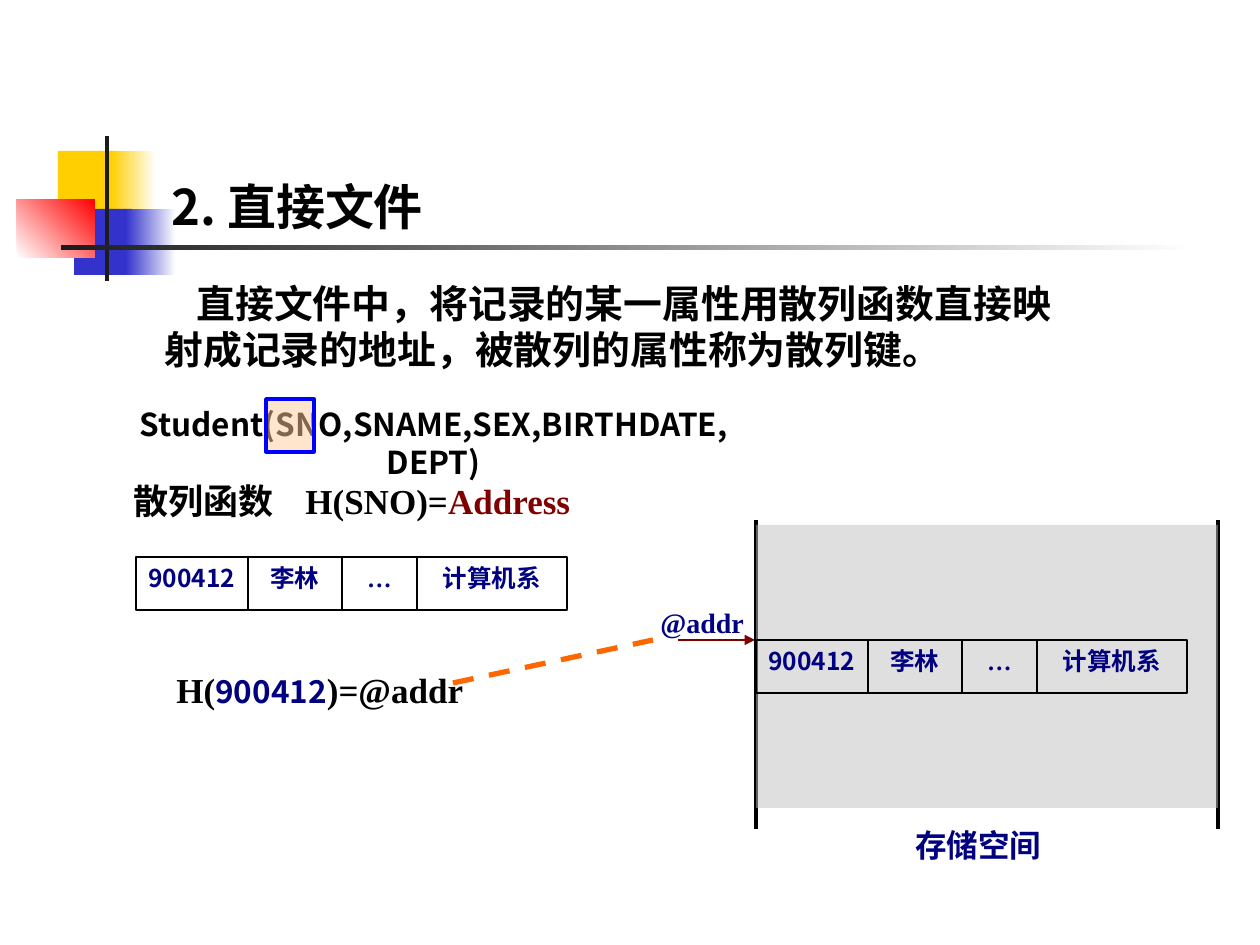
import pptx
import pptx.dml.color
import pptx.enum.dml
import pptx.enum.shapes
import pptx.enum.text
import pptx.oxml.ns
import pptx.util
from lxml import etree

RGB = pptx.dml.color.RGBColor
ALIGN = pptx.enum.text.PP_ALIGN
ANCHOR = pptx.enum.text.MSO_ANCHOR
qn = pptx.oxml.ns.qn

BLACK = RGB(0, 0, 0)
WHITE = RGB(255, 255, 255)
NAVY = RGB(0, 0, 128)
MAROON = RGB(128, 0, 0)
BLUE = RGB(0, 0, 255)
ORANGE = RGB(255, 102, 0)
PEACH = RGB(255, 204, 153)
SILVER = RGB(192, 192, 192)
YELLOW = RGB(255, 207, 1)
INDIGO = RGB(51, 51, 204)
RED = RGB(255, 0, 0)
CHARCOAL = RGB(28, 28, 28)

SANS = "Noto Sans CJK SC"
SERIF = "Times New Roman"

# box in px, colours from start to end, gradient angle
DECORATION = [
    ((58, 151, 60, 66), (YELLOW,), 0),
    ((111, 151, 45, 66), (YELLOW, WHITE), 0),
    ((74, 209, 58, 66), (INDIGO,), 0),
    ((126, 209, 50, 66), (INDIGO, WHITE), 0),
    ((17, 199, 78, 59), (WHITE, RED), 45),
    ((105, 136, 4, 145), (CHARCOAL,), 0),
    ((61, 245, 1134, 5), (CHARCOAL, WHITE), 0),
]

# box in px, runs of (text, size, font, colour)
TITLE = ((159, 84, 1074, 158), [("2. 直接文件", 28, SANS, BLACK)])
BODY = ((152, 273, 945, 121), [
    ("直接文件中，将记录的某一属性用散列函数直接映射成记录的地址，被散列的属性称为散列键。",
     22.2, "Karla", BLACK)])
SCHEMA = ((116, 399, 635, 62), [
    ("Student(SNO,SNAME,SEX,BIRTHDATE,DEPT)", 18, SANS, BLACK)])
KEY_BOX = (266, 399, 48, 53)
HASH_FUNCTION = ((121, 473, 483, 40), [
    ("散列函数\tH(SNO)=", 20, SERIF, BLACK), ("Address", 20, SERIF, MAROON)])
HASH_EXAMPLE = ((164, 662, 483, 40), [
    ("H(", 20, SERIF, BLACK), ("900412", 18, SANS, NAVY),
    (")=@addr", 20, SERIF, BLACK)])
ADDRESS = ((648, 599, 130, 40), [("@addr", 16, SERIF, NAVY)])
STORAGE = ((903, 820, 152, 40), [("存储空间", 18, SERIF, NAVY)])

RECORD = [("900412", SANS, 112), ("李林", SANS, 94),
          ("…", SERIF, 75), ("计算机系", SANS, 150)]
RECORD_HEIGHT = 53
STORAGE_LEFT, STORAGE_RIGHT = 756, 1218


def px(n):
    return round(n * 914400 / 126)


def add_runs(tf, runs, align):
    p = tf.paragraphs[0]
    p.alignment = align
    for text, size, font, color in runs:
        r = p.add_run()
        r.text = text
        r.font.size = pptx.util.Pt(size)
        r.font.name = font
        r.font.bold = True
        r.font.color.rgb = color
        ea = etree.Element(qn("a:ea"), typeface=SANS)
        r.font._element.find(qn("a:latin")).addnext(ea)
    return p


def add_text(slide, content, align=ALIGN.LEFT, anchor=ANCHOR.TOP):
    box, runs = content
    tf = slide.shapes.add_textbox(*map(px, box)).text_frame
    tf.word_wrap = True
    tf.vertical_anchor = anchor
    return add_runs(tf, runs, align)


def add_rect(slide, box, colors=(), angle=0, alpha=None, line=None, width=1):
    """No colours leave the rectangle hollow; two make a gradient."""
    sp = slide.shapes.add_shape(
        pptx.enum.shapes.MSO_SHAPE.RECTANGLE, *map(px, box))
    sp.shadow.inherit = False
    if len(colors) == 2:
        sp.fill.gradient()
        sp.fill.gradient_angle = angle
        for stop, color, position in zip(sp.fill.gradient_stops, colors, (0, 1)):
            stop.color.rgb = color
            stop.position = position
    elif colors:
        sp.fill.solid()
        sp.fill.fore_color.rgb = colors[0]
    else:
        sp.fill.background()
    if alpha is not None:
        clr = sp._element.spPr.find(qn("a:solidFill"))[0]
        etree.SubElement(clr, qn("a:alpha"), val=str(alpha * 1000))
    if line is None:
        sp.line.fill.background()
    else:
        sp.line.color.rgb = line
        sp.line.width = pptx.util.Pt(width)
    return sp


def add_line(slide, ends, color, width, dash=None, arrow=False):
    s = slide.shapes.add_connector(
        pptx.enum.shapes.MSO_CONNECTOR.STRAIGHT, *map(px, ends))
    s.line.color.rgb = color
    s.line.width = pptx.util.Pt(width)
    if dash is not None:
        s.line.dash_style = dash
    if arrow:
        etree.SubElement(s.line._get_or_add_ln(), qn("a:tailEnd"), type="triangle")
    etree.SubElement(s._element.spPr, qn("a:effectLst"))


def add_record(slide, left, top):
    for text, font, width in RECORD:
        sp = add_rect(slide, (left, top, width, RECORD_HEIGHT), line=BLACK)
        sp.text_frame.word_wrap = True
        sp.text_frame.vertical_anchor = ANCHOR.TOP
        add_runs(sp.text_frame, [(text, 14, font, NAVY)], ALIGN.CENTER)
        left += width


def main():
    prs = pptx.Presentation()
    prs.slide_width, prs.slide_height = px(1260), px(945)
    slide = prs.slides.add_slide(prs.slide_layouts[6])

    for box, colors, angle in DECORATION:
        add_rect(slide, box, colors, angle)
    add_text(slide, TITLE, anchor=ANCHOR.BOTTOM)
    p = add_text(slide, BODY)
    p._p.get_or_add_pPr().set("indent", str(px(32)))

    add_text(slide, SCHEMA, ALIGN.CENTER)
    add_rect(slide, KEY_BOX, (PEACH,), alpha=50, line=BLUE, width=2)
    p = add_text(slide, HASH_FUNCTION)
    tabs = etree.SubElement(p._p.get_or_add_pPr(), qn("a:tabLst"))
    etree.SubElement(tabs, qn("a:tab"), pos=str(px(172)), algn="l")

    add_record(slide, 136, 557)
    add_text(slide, HASH_EXAMPLE)
    add_text(slide, ADDRESS)
    add_line(slide, (678, 640, 755, 640), MAROON, 0.75, arrow=True)
    add_line(slide, (453, 683, 653, 640), ORANGE, 3,
             dash=pptx.enum.dml.MSO_LINE.DASH)

    for x in (STORAGE_LEFT, STORAGE_RIGHT):
        add_line(slide, (x, 520, x, 829), BLACK, 2)
    add_text(slide, STORAGE)
    add_rect(slide, (STORAGE_LEFT, 525, STORAGE_RIGHT - STORAGE_LEFT, 283),
             (SILVER,), alpha=50)
    add_record(slide, STORAGE_LEFT, 640)
    prs.save("out.pptx")


if __name__ == "__main__":
    main()
